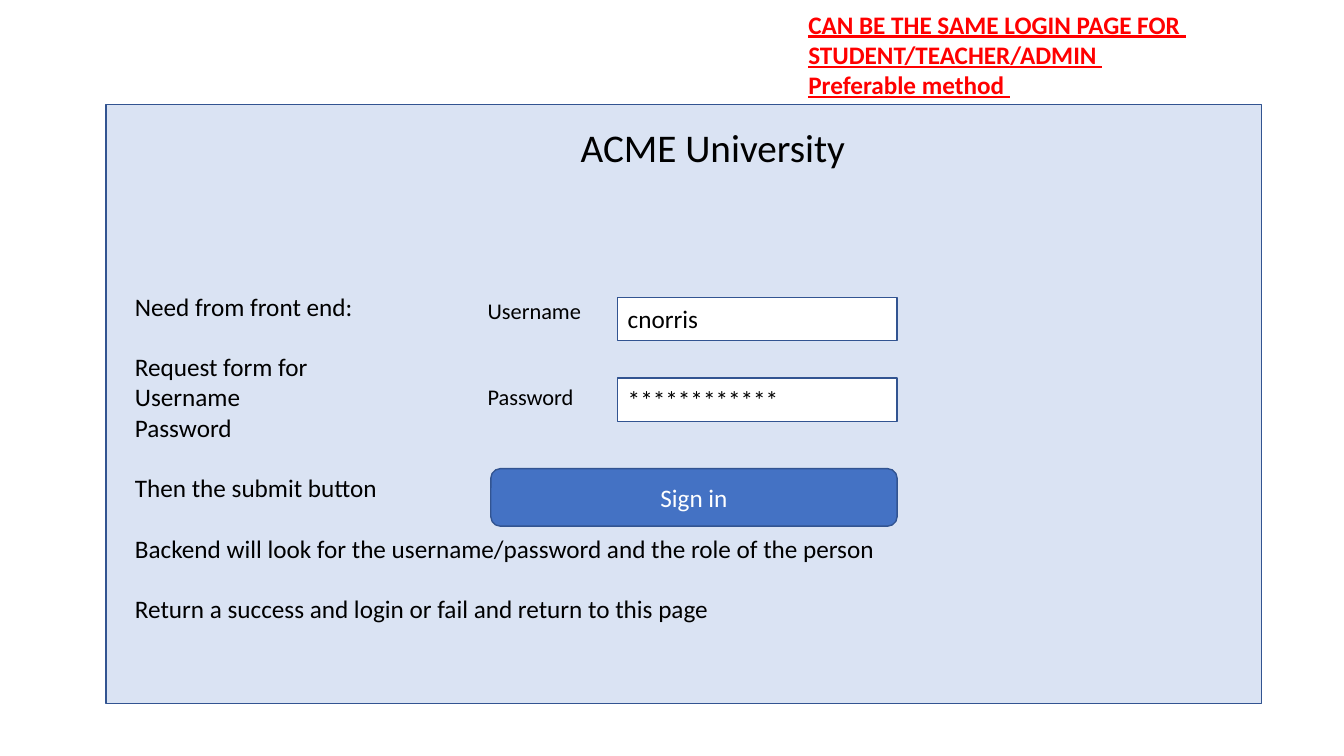
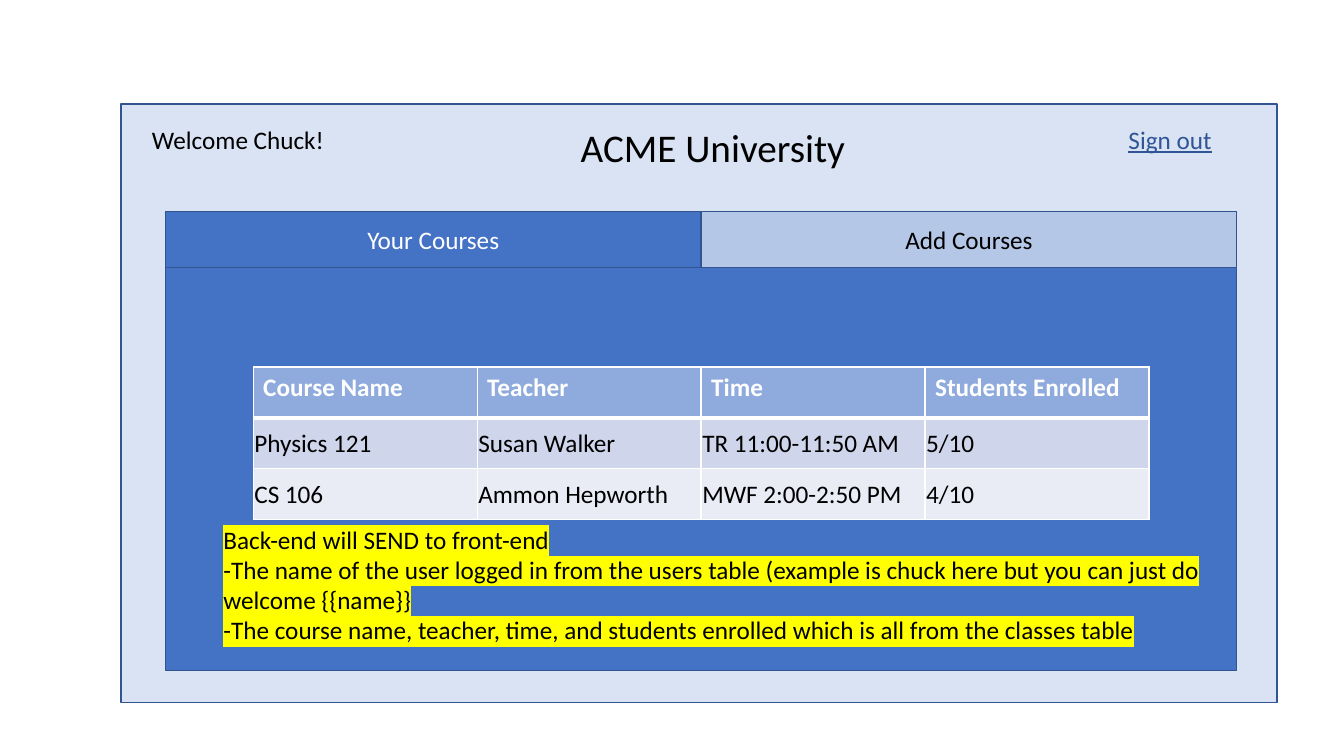
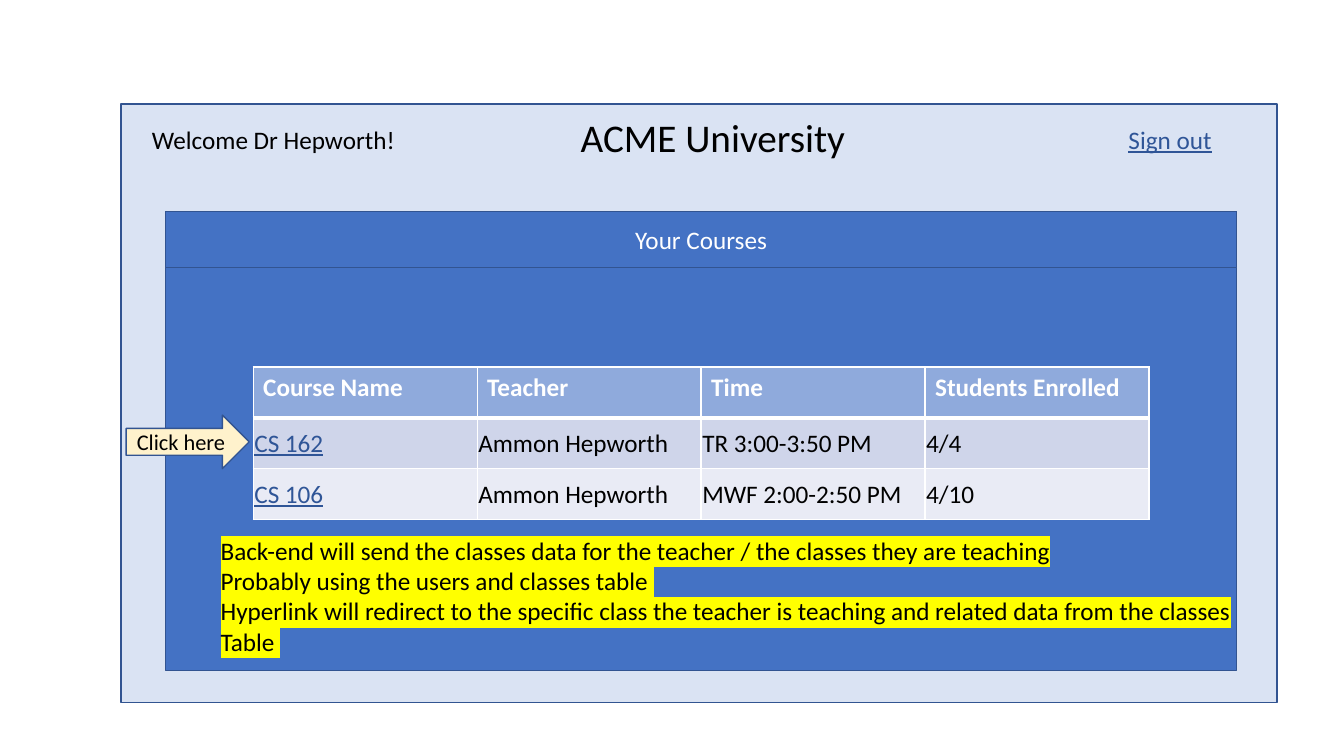
from lxml.etree import SubElement
from pptx import Presentation
from pptx.dml.color import RGBColor
from pptx.enum.shapes import MSO_SHAPE
from pptx.enum.text import MSO_ANCHOR, MSO_AUTO_SIZE, PP_ALIGN
from pptx.oxml.ns import qn
from pptx.util import Cm, Pt

FONT = "Calibri"
COLORS = {
    "panel": "DAE3F3", "line": "325491", "blue": "4472C4", "tab": "B4C7E7",
    "header": "8FAADC", "odd": "CFD5EA", "even": "E9EBF5", "arrow": "FFF2CC",
    "link": "2F5597", "red": "FF0000", "yellow": "FFFF00",
    "white": "FFFFFF", "black": "000000",
}
HEADERS = ["Course Name", "Teacher", "Time", "Students Enrolled"]
BODY_X, BODY_Y, BODY_W, BODY_H = 4.17, 5.33, 27, 11.56
TAB_H = 1.42
ROW_H = 1.28


def rgb(name):
    """Return a named colour."""
    return RGBColor.from_string(COLORS[name])


def box(x, y, w, h):
    """Turn centimetres into left, top, width and height."""
    return Cm(x), Cm(y), Cm(w), Cm(h)


def style(tf, size=18, color="black", bold=False, underline=False, highlight=None):
    """Format every run of a text frame."""
    for p in tf.paragraphs:
        for r in p.runs:
            f = r.font
            f.name, f.size, f.bold, f.underline = FONT, Pt(size), bold, underline
            f.color.rgb = rgb(color)
            if highlight:
                rPr = r._r.get_or_add_rPr()
                hl = SubElement(rPr, qn("a:highlight"))
                SubElement(hl, qn("a:srgbClr"), val=COLORS[highlight])
                rPr.find(qn("a:solidFill")).addnext(hl)


def fit(tf):
    """Keep lines unwrapped in a frame that follows its text."""
    tf.word_wrap = False
    tf.auto_size = MSO_AUTO_SIZE.SHAPE_TO_FIT_TEXT


def add_text(s, text, x, y, w, h, **fmt):
    """Add a text box and return its frame."""
    tf = s.shapes.add_textbox(*box(x, y, w, h)).text_frame
    tf.text = text
    fit(tf)
    style(tf, **fmt)
    return tf


def add_block(s, x, y, w, h, fill, text="", kind=MSO_SHAPE.RECTANGLE,
              align=PP_ALIGN.CENTER, **fmt):
    """Add an outlined shape with optional text."""
    sp = s.shapes.add_shape(kind, *box(x, y, w, h))
    sp.shadow.inherit = False
    sp.fill.solid()
    sp.fill.fore_color.rgb = rgb(fill)
    sp.line.color.rgb = rgb("line")
    sp.line.width = Pt(1)
    if text:
        tf = sp.text_frame
        tf.text = text
        tf.word_wrap = False
        tf.vertical_anchor = MSO_ANCHOR.MIDDLE
        tf.paragraphs[0].alignment = align
        style(tf, **fmt)
    return sp


def add_page(prs, x, y, title_y):
    """Add a slide with the page panel and the university title."""
    s = prs.slides.add_slide(prs.slide_layouts[5])
    title = s.shapes.title
    title.left, title.top, title.width, title.height = box(14.38, title_y, 7.24, 1.45)
    tf = title.text_frame
    tf.text = "ACME University"
    fit(tf)
    tf.vertical_anchor = MSO_ANCHOR.TOP
    tf.paragraphs[0].alignment = PP_ALIGN.LEFT
    style(tf, size=28)
    panel = add_block(s, x, y, 29.13, 15.09, "panel")
    title.element.addprevious(panel.element)
    return s


def set_borders(cell, top, bottom):
    """Draw white cell borders."""
    tcPr = cell._tc.get_or_add_tcPr()
    for side, width in (("L", 1), ("R", 1), ("T", top), ("B", bottom)):
        ln = SubElement(tcPr, qn(f"a:ln{side}"), w=str(Pt(width)))
        fill = SubElement(ln, qn("a:solidFill"))
        SubElement(fill, qn("a:srgbClr"), val=COLORS["white"])


def add_courses(s, courses, linked):
    """Add the course table, with linked course names if wanted."""
    rows = [HEADERS] + courses
    tbl = s.shapes.add_table(len(rows), len(HEADERS),
                             *box(6.38, 9.25, 22.58, ROW_H * len(rows))).table
    for i, row in enumerate(rows):
        tbl.rows[i].height = Cm(ROW_H)
        for j, text in enumerate(row):
            cell = tbl.cell(i, j)
            cell.text = text
            set_borders(cell, 3 if i == 1 else 1, 3 if i == 0 else 1)
            cell.fill.solid()
            if i == 0:
                cell.fill.fore_color.rgb = rgb("header")
                style(cell.text_frame, color="white", bold=True)
                continue
            cell.fill.fore_color.rgb = rgb("odd" if i % 2 else "even")
            cell.vertical_anchor = MSO_ANCHOR.MIDDLE
            cell.margin_left = cell.margin_right = cell.margin_top = Cm(0.03)
            cell.margin_bottom = 0
            link = linked and j == 0
            style(cell.text_frame, color="link" if link else "black", underline=link)


def add_portal(prs, welcome, welcome_w, title_y, tabs, courses, linked=False):
    """Add a signed-in page with tabs and a course table."""
    s = add_page(prs, 3.05, 2.62, title_y)
    add_text(s, welcome, 3.58, 3, welcome_w, 1.02)
    add_text(s, "Sign out", 28.19, 3, 2.64, 1.02, color="link", underline=True)
    add_block(s, BODY_X, BODY_Y, BODY_W, BODY_H, "blue")
    w = BODY_W / len(tabs)
    for i, (text, fill, color) in enumerate(tabs):
        add_block(s, BODY_X + i * w, BODY_Y, w, TAB_H, fill, text, color=color)
    add_courses(s, courses, linked)
    return s


def add_login(prs):
    """Add the login page."""
    s = add_page(prs, 2.67, 2.64, 2.97)
    fields = [("Username", "cnorris", 7.37, 7.49, 2.9),
              ("Password", "************", 9.53, 9.53, 2.72)]
    for label, value, label_y, y, w in fields:
        add_block(s, 15.57, y, 7.04, 1.09, "white", value, align=PP_ALIGN.LEFT)
        add_text(s, label, 12.04, label_y, w, 0.94, size=16)
    add_block(s, 12.37, 11.81, 10.24, 1.45, "blue", "Sign in",
              MSO_SHAPE.ROUNDED_RECTANGLE, color="white")
    groups = ["Need from front end:",
              "Request form for\nUsername\nPassword",
              "Then the submit button",
              "Backend will look for the username/password and the role of the person",
              "Return a success and login or fail and return to this page"]
    tf = add_text(s, "\n".join(groups), 3.15, 7.21, 19.38, 8.71)
    starts = [group.split("\n")[0] for group in groups[1:]]
    for p in tf.paragraphs:
        if p.text in starts:
            p.space_before = Pt(21.6)
    add_text(s, "CAN BE THE SAME LOGIN PAGE FOR \nSTUDENT/TEACHER/ADMIN \n"
             "Preferable method ", 20.12, 0.1, 10.13, 2.57,
             color="red", bold=True, underline=True)


def add_student(prs):
    """Add the student page."""
    tabs = [("Your Courses", "blue", "white"), ("Add Courses", "tab", "black")]
    courses = [["Physics 121", "Susan Walker", "TR 11:00-11:50 AM", "5/10"],
               ["CS 106", "Ammon Hepworth", "MWF 2:00-2:50 PM", "4/10"]]
    s = add_portal(prs, "Welcome Chuck!", 5.05, 2.97, tabs, courses)
    add_text(s, "Back-end will SEND to front-end\n"
             "-The name of the user logged in from the users table "
             "(example is chuck here but you can just do\vwelcome {{name}}\n"
             "-The course name, teacher, time, and students enrolled "
             "which is all from the classes table",
             5.38, 13.08, 25.27, 3.33, highlight="yellow")


def add_teacher(prs):
    """Add the teacher page."""
    courses = [["CS 162", "Ammon Hepworth", "TR 3:00-3:50 PM", "4/4"],
               ["CS 106", "Ammon Hepworth", "MWF 2:00-2:50 PM", "4/10"]]
    s = add_portal(prs, "Welcome Dr Hepworth!", 6.86, 2.72,
                   [("Your Courses", "blue", "white")], courses, linked=True)
    add_block(s, 3.18, 10.46, 3.1, 1.35, "arrow", "Click here",
              MSO_SHAPE.RIGHT_ARROW, size=16)
    add_text(s, "Back-end will send the classes data for the teacher / "
             "the classes they are teaching\n"
             "Probably using the users and classes table \n"
             "Hyperlink will redirect to the specific class the teacher is teaching "
             "and related data from the classes\nTable ",
             5.31, 13.36, 26.29, 3.33, highlight="yellow")


def main():
    """Build and save the presentation."""
    prs = Presentation()
    prs.slide_width, prs.slide_height = Cm(33.87), Cm(19.05)
    add_login(prs)
    add_student(prs)
    add_teacher(prs)
    prs.save("out.pptx")


if __name__ == "__main__":
    main()
